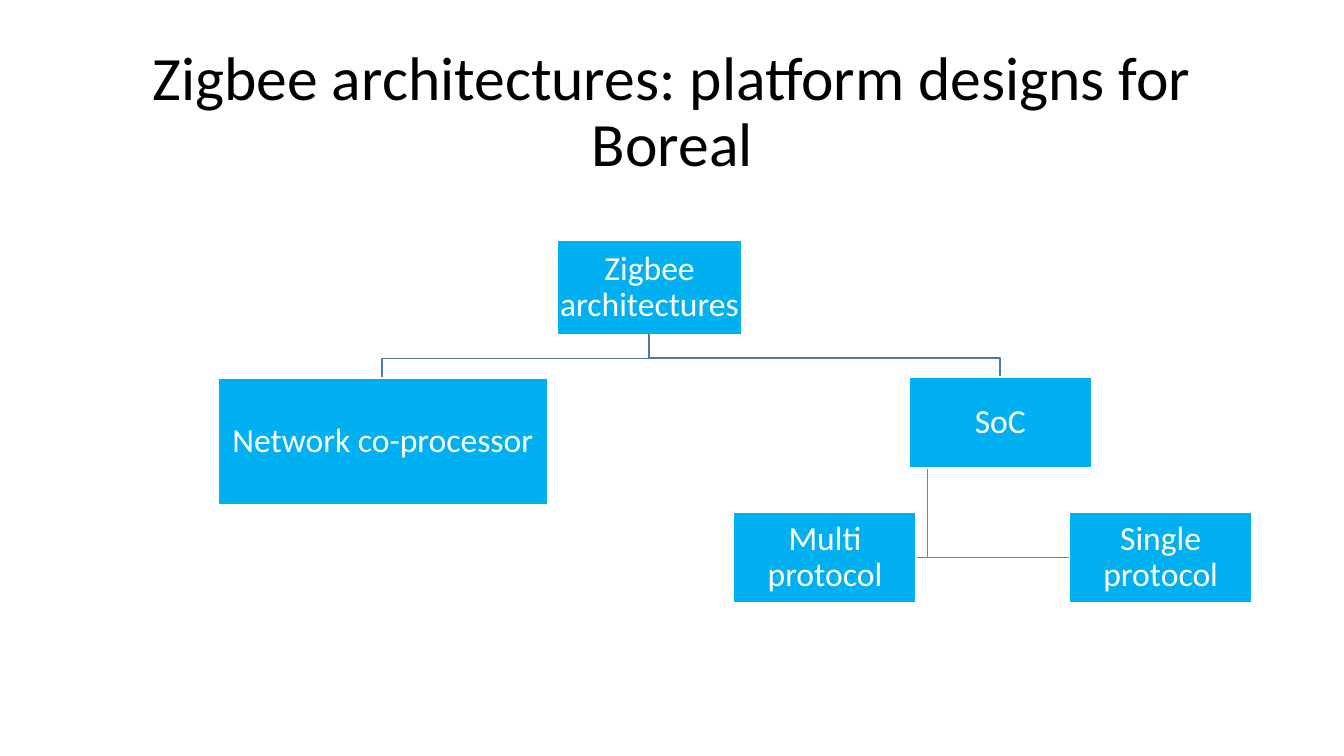
from pptx import Presentation
from pptx import util as u
from pptx.dml.color import RGBColor
from pptx.enum import shapes, text

COLORS = {
    "title": "000000",
    "box": "00B0F0",
    "white": "FFFFFF",
    "upper_link": "497CAB",
    "lower_link": "538DC1",
}


def color(name):
    return RGBColor.from_string(COLORS[name])


def format_text(frame, size, color_name):
    """Centre the single paragraph of a frame and style its runs."""
    frame.word_wrap = True
    frame.auto_size = text.MSO_AUTO_SIZE.NONE
    frame.vertical_anchor = text.MSO_ANCHOR.MIDDLE
    para = frame.paragraphs[0]
    para.alignment = text.PP_ALIGN.CENTER
    para.line_spacing = 0.9
    for span in para.runs:
        span.font.name = "Calibri"
        span.font.size = u.Pt(size)
        span.font.color.rgb = color(color_name)


deck = Presentation()
deck.slide_width, deck.slide_height = u.Cm(33.87), u.Cm(19.05)
page = deck.slides.add_slide(deck.slide_layouts[5])

title = page.shapes.title
title.left, title.top = u.Cm(2.34), u.Cm(1.02)
title.width, title.height = u.Cm(29.21), u.Cm(3.68)
title.text_frame.text = "Zigbee architectures: platform designs for Boreal"
format_text(title.text_frame, 44, "title")

# Links, drawn first so that the boxes cover their ends (points in cm)
root_x, root_bottom = 16.36, 8.38
soc_x, soc_bottom, leaf_y = 23.37, 11.79, 14.05
links = [
    ("lower_link", [(soc_x, soc_bottom), (soc_x, leaf_y), (23.09, leaf_y)]),
    ("lower_link", [(soc_x, soc_bottom), (soc_x, leaf_y), (26.95, leaf_y)]),
    ("upper_link", [(root_x, root_bottom), (root_x, 9.02), (25.2, 9.02), (25.2, 9.5)]),
    ("upper_link", [(root_x, root_bottom), (root_x, 9.04), (9.63, 9.04), (9.63, 9.53)]),
]
for link_color, points in links:
    start, *rest = [(u.Cm(x), u.Cm(y)) for x, y in points]
    builder = page.shapes.build_freeform(*start)
    builder.add_line_segments(rest, close=False)
    link = builder.convert_to_shape()
    link.shadow.inherit = False
    link.fill.background()
    link.line.color.rgb = color(link_color)
    link.line.width = u.Pt(1)

# Boxes: label, left, top, width, height (cm), outline
BOX_W, BOX_H = 4.6, 2.29
boxes = [
    ("Zigbee architectures", 14.07, 6.1, BOX_W, BOX_H, "box"),
    ("Network co-processor", 5.49, 9.53, 8.31, 3.2, "white"),
    ("SoC", 22.91, 9.5, BOX_W, BOX_H, "white"),
    ("Single protocol", 26.95, 12.9, BOX_W, BOX_H, "white"),
    ("Multi protocol", 18.49, 12.9, BOX_W, BOX_H, "white"),
]
for label, left, top, width, height, outline in boxes:
    box = page.shapes.add_shape(
        shapes.MSO_SHAPE.RECTANGLE, u.Cm(left), u.Cm(top), u.Cm(width), u.Cm(height)
    )
    box.shadow.inherit = False
    box.fill.solid()
    box.fill.fore_color.rgb = color("box")
    box.line.color.rgb = color(outline)
    box.line.width = u.Pt(1)
    frame = box.text_frame
    frame.margin_left = frame.margin_right = u.Cm(0.04)
    frame.margin_top = frame.margin_bottom = u.Cm(0.04)
    frame.text = label
    format_text(frame, 24, "white")

deck.save("out.pptx")
